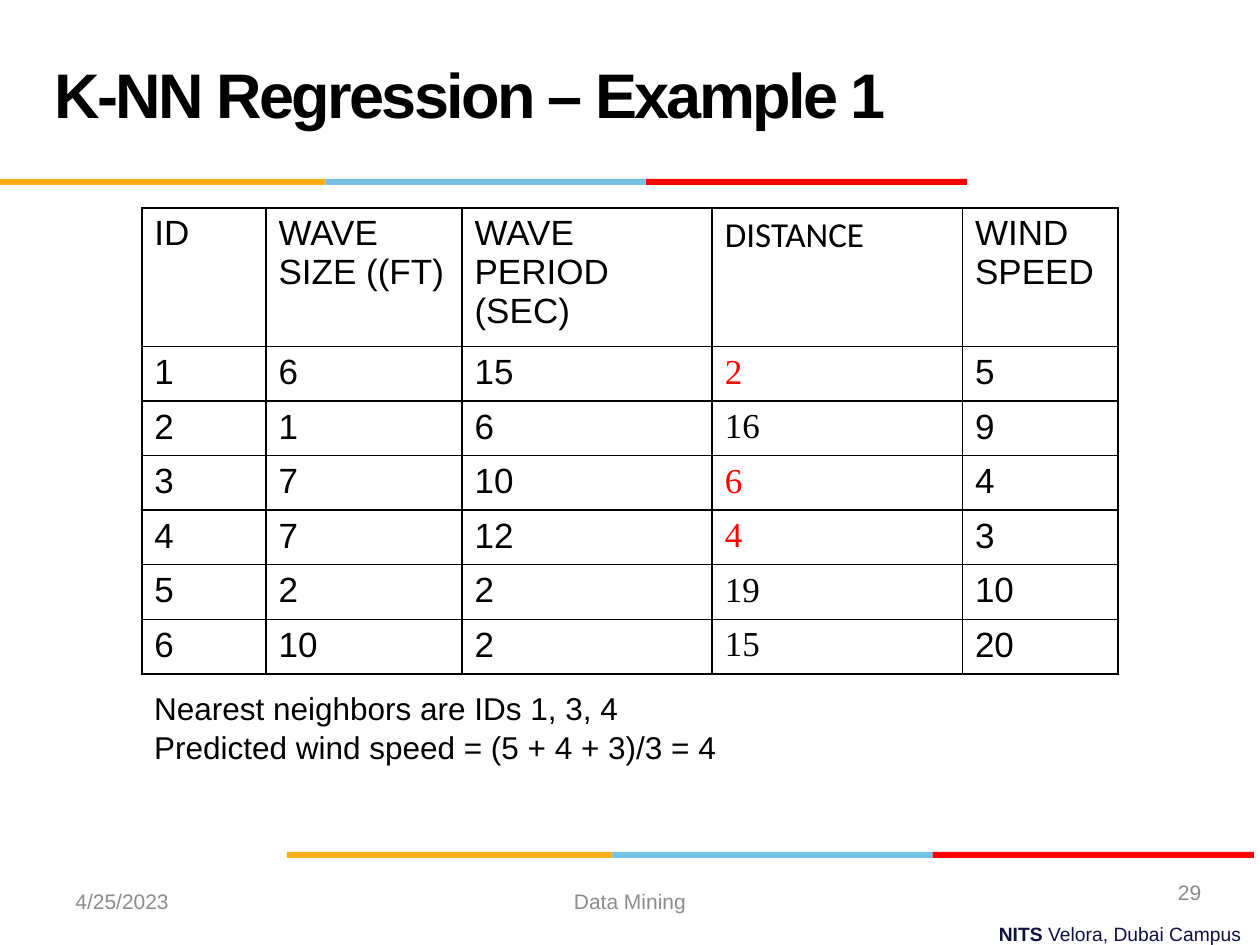
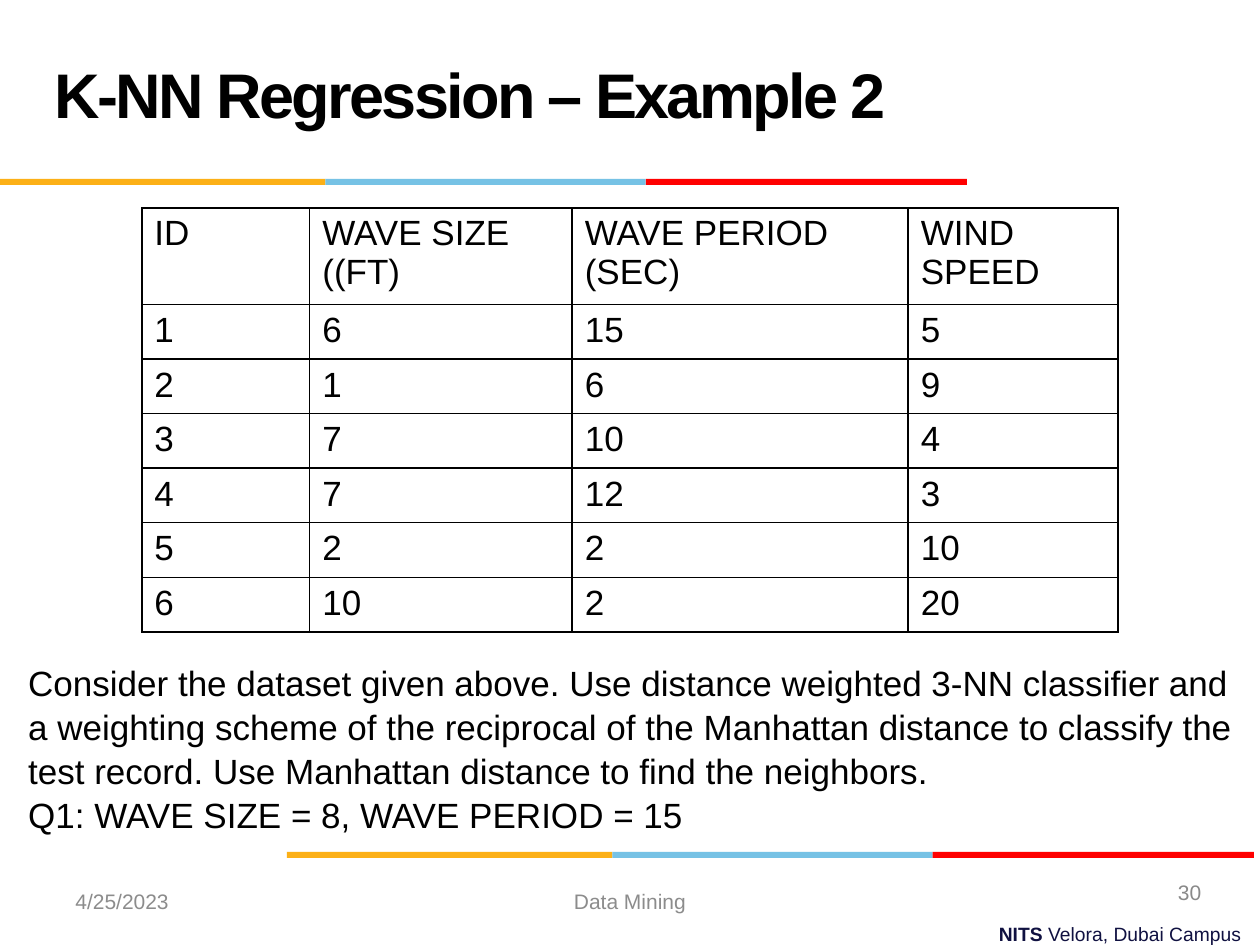
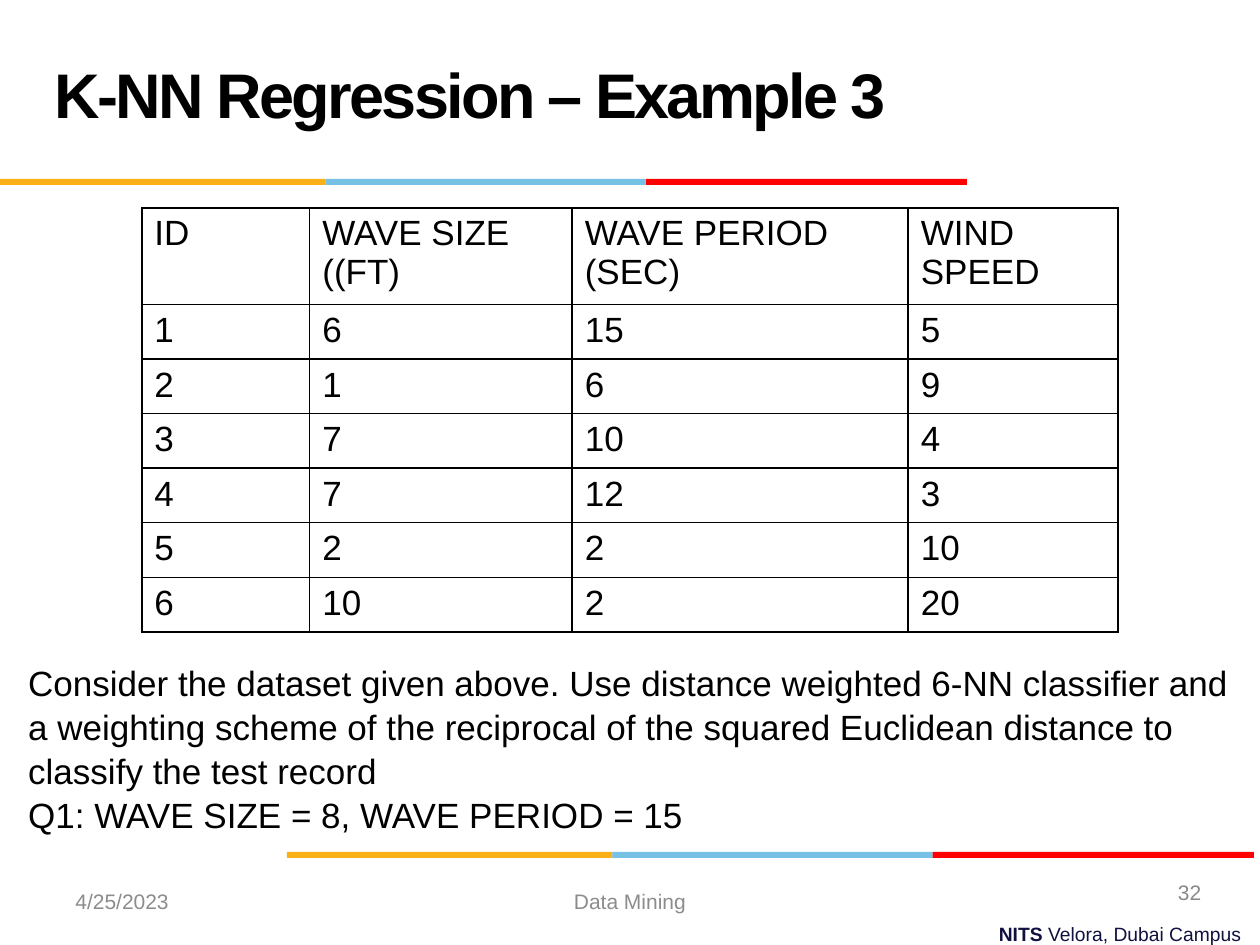
from dataclasses import dataclass

from lxml import etree
from pptx import Presentation
from pptx.dml.color import RGBColor
from pptx.enum import shapes, text
from pptx.oxml import ns
from pptx.util import Pt


@dataclass(frozen=True)
class Theme:
    font: str = "Arial"
    head_font: str = "Calibri"
    number_font: str = "Times New Roman"
    ink: str = "000000"
    red: str = "FF0000"
    gold: str = "FCB017"
    blue: str = "76C2E5"
    navy: str = "101141"
    footer: str = "8C8C8C"
    page: str = "898989"
    title_size: int = 36
    body_size: int = 20
    note_size: int = 18
    footer_size: int = 12
    campus_size: int = 11


T = Theme()
LEFT, CENTER, RIGHT = (text.PP_ALIGN.LEFT, text.PP_ALIGN.CENTER,
                       text.PP_ALIGN.RIGHT)


def add_run(p, words, size, color=T.ink, font=T.font, bold=False):
    r = p.add_run()
    r.text = words
    r.font.size = Pt(size)
    r.font.name = font
    r.font.bold = bold
    r.font.color.rgb = RGBColor.from_string(color)
    return r


def add_box(slide, box, lines, size, color=T.ink, align=LEFT,
            anchor=text.MSO_ANCHOR.TOP, spacing=None):
    """Each line is a list of (words, bold) runs."""
    tf = slide.shapes.add_textbox(*map(Pt, box)).text_frame
    tf.word_wrap = True
    tf.vertical_anchor = anchor
    for i, line in enumerate(lines):
        p = tf.add_paragraph() if i else tf.paragraphs[0]
        p.alignment = align
        p.line_spacing = spacing
        for words, bold in line:
            add_run(p, words, size, color, bold=bold)


# Wave data and the slides built on it
HEADS = ["ID", "WAVE SIZE ((FT)", "WAVE PERIOD (SEC)", "WIND SPEED"]
WAVES = [(1, 6, 15, 5), (2, 1, 6, 9), (3, 7, 10, 4),
         (4, 7, 12, 3), (5, 2, 2, 10), (6, 10, 2, 20)]
DISTANCES = [2, 16, 6, 4, 19, 15]
NEAREST = sorted(DISTANCES)[:3]
DISTANCE_COL = 3
QUERY = "Q1: WAVE SIZE = 8, WAVE PERIOD = 15"
NOTE_BOX = (81, 390, 393, 51)
TASK_BOX = (9, 373, 711, 104.5)

# page number, distances shown, text box, text size, line spacing, lines
EXAMPLES = [
    (29, True, NOTE_BOX, T.note_size, 1.02,
     ["Nearest neighbors are IDs 1, 3, 4",
      "Predicted wind speed = (5 + 4 + 3)/3 = 4"]),
    (30, False, TASK_BOX, T.body_size, 1.05,
     ["Consider the dataset given above. Use distance weighted 3-NN "
      "classifier and a weighting scheme of the reciprocal of the Manhattan "
      "distance to classify the test record. Use Manhattan distance to find "
      "the neighbors.", QUERY]),
    (32, False, TASK_BOX, T.body_size, 1.05,
     ["Consider the dataset given above. Use distance weighted 6-NN "
      "classifier and a weighting scheme of the reciprocal of the squared "
      "Euclidean distance to classify the test record", QUERY]),
]

prs = Presentation()
prs.slide_width, prs.slide_height = Pt(720), Pt(540)

for number, (page, with_distance, box, size, spacing, lines) in enumerate(EXAMPLES, 1):
    slide = prs.slides.add_slide(prs.slide_layouts[5])

    # Three-colour bands under the title and above the footer
    for left, top in ((0, 102.25), (164, 486.75)):
        for color, width in ((T.gold, 186), (T.blue, 183), (T.red, 183.5)):
            sp = slide.shapes.add_shape(shapes.MSO_SHAPE.RECTANGLE, Pt(left),
                                        Pt(top), Pt(width), Pt(3.5))
            sp.shadow.inherit = False
            sp.fill.solid()
            sp.fill.fore_color.rgb = RGBColor.from_string(color)
            sp.line.fill.background()
            left += width

    # Title
    title = slide.shapes.title
    title.left, title.top, title.width, title.height = map(Pt, (24, 12, 498, 90))
    tf = title.text_frame
    tf.word_wrap = True
    tf.auto_size = text.MSO_AUTO_SIZE.NONE
    tf.vertical_anchor = text.MSO_ANCHOR.MIDDLE
    p = tf.paragraphs[0]
    p.alignment = LEFT
    p.line_spacing = Pt(36)
    r = add_run(p, f"K-NN Regression – Example {number}", T.title_size, bold=True)
    r.font._element.set("spc", "-150")

    # Table of wave records
    rows = [HEADS, *WAVES]
    widths = [96, 150, 192, 120]
    head_height = 55.25
    if with_distance:
        rows = [[*row[:DISTANCE_COL], extra, *row[DISTANCE_COL:]]
                for row, extra in zip(rows, ["DISTANCE", *DISTANCES])]
        widths = [71, 112, 143, 143, 89]
        head_height = 79.25
    heights = [head_height] + [31.2] * len(WAVES)
    table = slide.shapes.add_table(len(rows), len(widths), Pt(81), Pt(118.75),
                                   Pt(sum(widths)), Pt(sum(heights))).table
    table.first_row = table.horz_banding = False
    for col, width in zip(table.columns, widths):
        col.width = Pt(width)
    for i, (row, height) in enumerate(zip(rows, heights)):
        table.rows[i].height = Pt(height)
        for j, value in enumerate(row):
            cell = table.cell(i, j)
            font, color = T.font, T.ink
            if with_distance and j == DISTANCE_COL:
                font = T.number_font if i else T.head_font
                color = T.red if value in NEAREST else T.ink
            add_run(cell.text_frame.paragraphs[0], str(value), T.body_size,
                    color, font)
            tcPr = cell._tc.get_or_add_tcPr()
            for side in ("lnL", "lnR", "lnT", "lnB"):
                ln = etree.SubElement(tcPr, ns.qn(f"a:{side}"), w=str(Pt(1)))
                fill = etree.SubElement(ln, ns.qn("a:solidFill"))
                etree.SubElement(fill, ns.qn("a:srgbClr"), val=T.ink)
            cell.fill.background()

    # Answer or task
    add_box(slide, box, [[(line, False)] for line in lines], size, spacing=spacing)

    # Footer
    for words, place, color, align in (
            ("4/25/2023", (36, 500.5, 168, 28.75), T.footer, LEFT),
            ("Data Mining", (246, 500.5, 228, 28.75), T.footer, CENTER),
            (str(page), (525.5, 495.5, 168, 28.75), T.page, RIGHT)):
        add_box(slide, place, [[(words, False)]], T.footer_size, color, align,
                text.MSO_ANCHOR.MIDDLE)
    add_box(slide, (254, 523.5, 462.5, 20.5),
            [[("NITS ", True), ("Velora, Dubai Campus", False)]],
            T.campus_size, T.navy, RIGHT)

prs.save("out.pptx")
